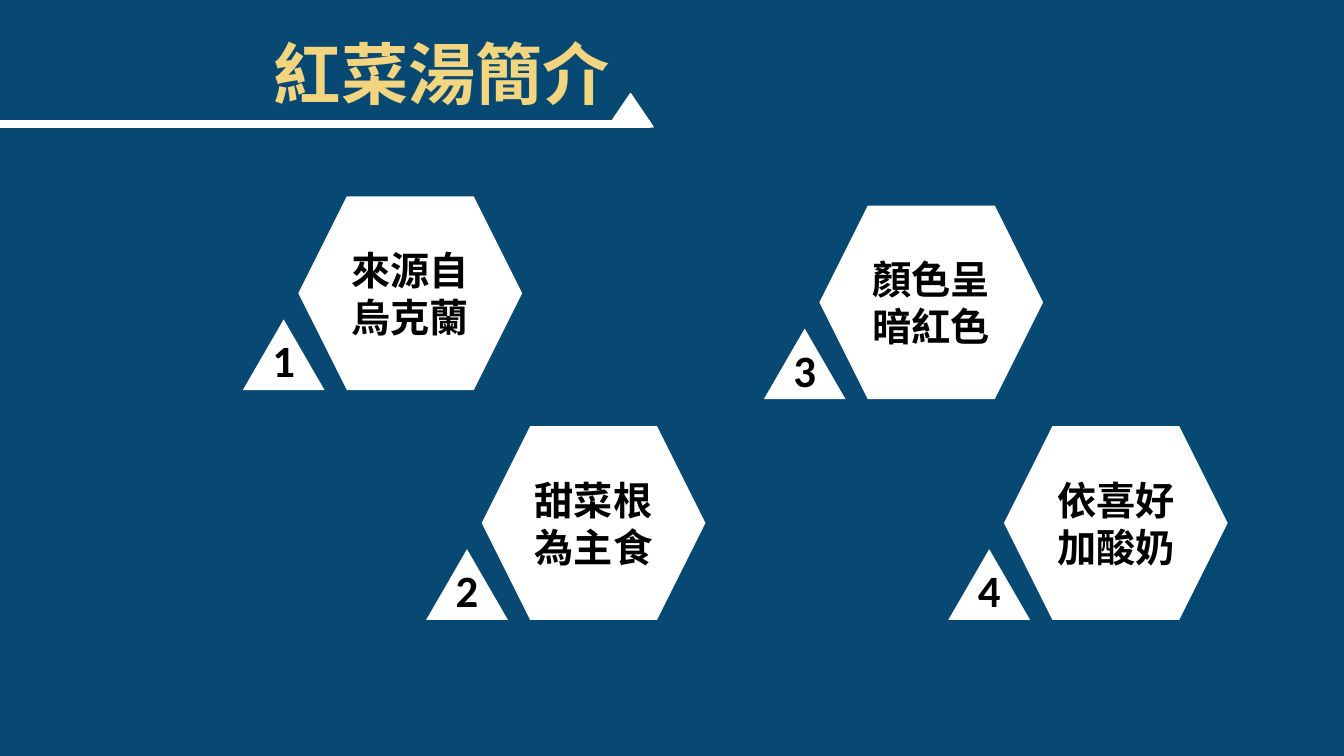
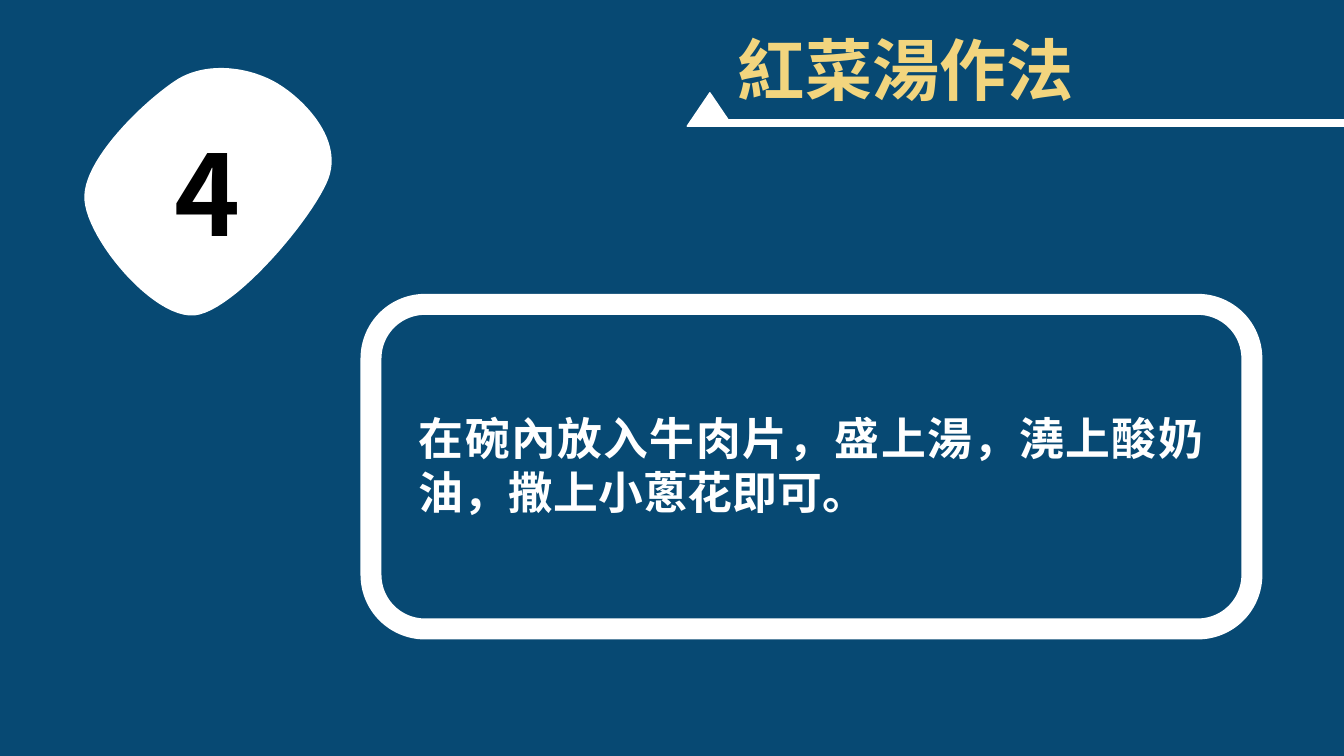
"""Build two slides that introduce red beet soup and its last cooking step."""
from dataclasses import dataclass

from pptx import Presentation
from pptx.dml.color import RGBColor
from pptx.enum import shapes, text
from pptx.oxml import ns
from pptx.util import Cm, Pt


@dataclass(frozen=True)
class Theme:
    """Colours, fonts and type sizes."""
    ground: str = "074973"
    white: str = "FFFFFF"
    black: str = "000000"
    gold: str = "F2D57E"
    body_font: str = "Noto Sans CJK SC"
    digit_font: str = "Calibri"
    title: int = 48
    fact: int = 28
    number: int = 32
    step: int = 32
    big: int = 80
    leading: float = 1.2


THEME = Theme()
WIDTH, HEIGHT = 33.87, 19.05
INTRO = dict(title="紅菜湯簡介", box=(6.65, 0.53, 9.04, 2.59),
             rule=(0, 16.38, 3.12), peak=(15.32, 2.36))
METHOD = dict(title="紅菜湯作法", box=(18.34, 0.43, 12.98, 2.59),
              rule=(17.5, WIDTH, 3.1), peak=(17.32, 2.34))
FACTS = [
    (("來源自", "烏克蘭"), (7.52, 4.95)),
    (("甜菜根", "為主食"), (12.14, 10.74)),
    (("顏色呈", "暗紅色"), (20.65, 5.18)),
    (("依喜好", "加酸奶"), (25.3, 10.74)),
]
PEAK_SIZE = (1.14, 0.84)
HEXAGON_SIZE = (5.64, 4.88)
BADGE_SIZE = (2.06, 1.78)
BADGE_OFFSET = (-1.4, 3.1)
STEP_NUMBER = "4"
STEP = "在碗內放入牛肉片，盛上湯，澆上酸奶油，撒上小蔥花即可。"
FRAME = (9.35, 7.67, 22.2, 8.18)
STEP_BOX = (10.31, 7.95, 20.27, 7.52)
PEBBLE = [
    (4.5, 1.98),
    (5.33, 1.5), (6.45, 1.73), (7.09, 2.16),
    (7.72, 2.57), (8.64, 3.53), (8.28, 4.5),
    (7.92, 5.46), (5.92, 7.85), (4.9, 7.95),
    (3.86, 8.03), (2.21, 6.05), (2.13, 5.05),
    (2.03, 4.06), (3.68, 2.49), (4.5, 1.98),
]
CURVE_STEPS = 24


def rgb(colour):
    """Turn a hex string into a colour."""
    return RGBColor.from_string(colour)


def lengths(values):
    """Turn centimetres into lengths."""
    return [Cm(value) for value in values]


def style(shape, fill=None, line=None, width=1):
    """Give a shape its fill and line, without a shadow."""
    shape.shadow.inherit = False
    if fill:
        shape.fill.solid()
        shape.fill.fore_color.rgb = rgb(fill)
    else:
        shape.fill.background()
    if line:
        shape.line.color.rgb = rgb(line)
        shape.line.width = Pt(width)
    else:
        shape.line.fill.background()


def write(shape, lines, size, colour, font=THEME.body_font,
          align=text.PP_ALIGN.CENTER, anchor=text.MSO_ANCHOR.MIDDLE,
          wrap=True, leading=None):
    """Write one paragraph per line into a shape."""
    frame = shape.text_frame
    frame.auto_size = text.MSO_AUTO_SIZE.NONE
    frame.word_wrap = wrap
    frame.vertical_anchor = anchor
    for index, line in enumerate(lines):
        paragraph = frame.add_paragraph() if index else frame.paragraphs[0]
        paragraph.alignment = align
        if leading:
            paragraph.line_spacing = Pt(size * leading)
        run = paragraph.add_run()
        run.text = line
        run.font.size = Pt(size)
        run.font.bold = True
        run.font.name = font
        run.font.color.rgb = rgb(colour)
        latin = run.font._element.find(ns.qn("a:latin"))
        east_asian = latin.makeelement(ns.qn("a:ea"), {"typeface": font})
        latin.addnext(east_asian)


def add_heading(slide, heading):
    """Draw the rule with its peak and set the title."""
    start, end, y = heading["rule"]
    rule = slide.shapes.add_connector(
        shapes.MSO_CONNECTOR.STRAIGHT, *lengths((start, y, end, y)))
    rule.line.color.rgb = rgb(THEME.white)
    rule.line.width = Pt(6)
    properties = rule._element.spPr
    properties.append(properties.makeelement(ns.qn("a:effectLst"), {}))
    peak = slide.shapes.add_shape(
        shapes.MSO_SHAPE.ISOSCELES_TRIANGLE, *lengths(heading["peak"] + PEAK_SIZE))
    style(peak, THEME.white, THEME.white)
    title = slide.shapes.title
    title.left, title.top, title.width, title.height = lengths(heading["box"])
    write(title, [heading["title"]], THEME.title, THEME.gold,
          align=text.PP_ALIGN.JUSTIFY)


def add_fact(slide, number, lines, corner):
    """Draw a hexagon with its numbered badge."""
    hexagon = slide.shapes.add_shape(
        shapes.MSO_SHAPE.HEXAGON, *lengths(corner + HEXAGON_SIZE))
    style(hexagon, THEME.white)
    write(hexagon, lines, THEME.fact, THEME.black, leading=THEME.leading)
    badge_corner = tuple(c + d for c, d in zip(corner, BADGE_OFFSET))
    badge = slide.shapes.add_shape(
        shapes.MSO_SHAPE.ISOSCELES_TRIANGLE, *lengths(badge_corner + BADGE_SIZE))
    style(badge, THEME.white)
    frame = badge.text_frame
    frame.margin_left = frame.margin_right = frame.margin_top = 0
    frame.margin_bottom = Cm(0.08)
    write(badge, [str(number)], THEME.number, THEME.black, THEME.digit_font,
          anchor=text.MSO_ANCHOR.BOTTOM, wrap=False)


def outline(knots):
    """Trace a chain of cubic curves as points."""
    points = []
    for first in range(0, len(knots) - 1, 3):
        a, b, c, d = knots[first:first + 4]
        for step in range(1, CURVE_STEPS + 1):
            t = step / CURVE_STEPS
            s = 1 - t
            points.append(tuple(
                Cm(s**3 * p + 3 * s * s * t * q + 3 * s * t * t * r + t**3 * e)
                for p, q, r, e in zip(a, b, c, d)))
    return points


def add_step(slide):
    """Draw the numbered pebble and the framed instruction."""
    builder = slide.shapes.build_freeform(*lengths(PEBBLE[0]))
    builder.add_line_segments(outline(PEBBLE), close=True)
    pebble = builder.convert_to_shape()
    style(pebble, THEME.white)
    write(pebble, [STEP_NUMBER], THEME.big, THEME.black)
    frame = slide.shapes.add_shape(
        shapes.MSO_SHAPE.ROUNDED_RECTANGLE, *lengths(FRAME))
    style(frame, line=THEME.white, width=15)
    instruction = slide.shapes.add_textbox(*lengths(STEP_BOX))
    write(instruction, [STEP], THEME.step, THEME.white,
          align=text.PP_ALIGN.JUSTIFY, leading=THEME.leading)


def main():
    """Build and save the presentation."""
    deck = Presentation()
    deck.slide_width, deck.slide_height = lengths((WIDTH, HEIGHT))
    ground = deck.slide_master.background.fill
    ground.solid()
    ground.fore_color.rgb = rgb(THEME.ground)
    title_only = deck.slide_layouts.get_by_name("Title Only")

    intro = deck.slides.add_slide(title_only)
    add_heading(intro, INTRO)
    for number, (lines, corner) in enumerate(FACTS, 1):
        add_fact(intro, number, lines, corner)

    method = deck.slides.add_slide(title_only)
    add_heading(method, METHOD)
    add_step(method)
    deck.save("out.pptx")


if __name__ == "__main__":
    main()
